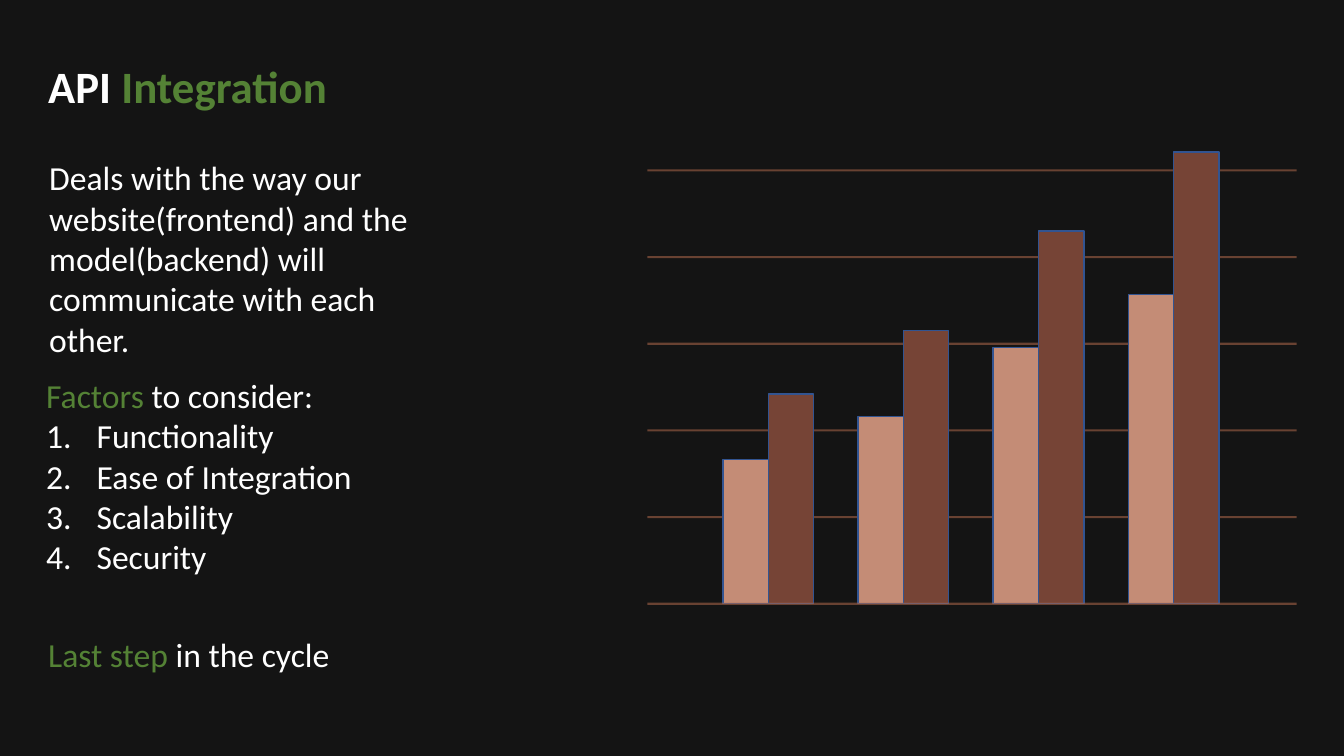
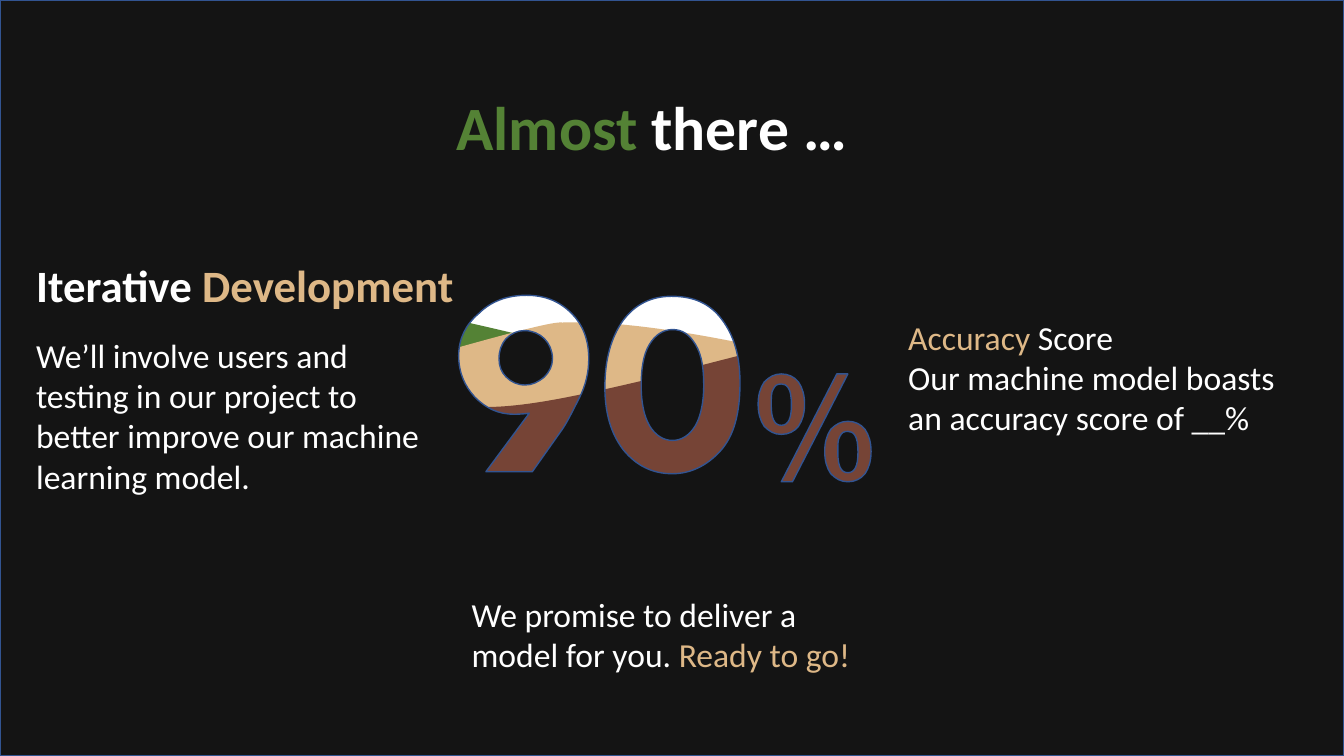
from dataclasses import dataclass

from lxml.etree import SubElement
from pptx import Presentation
from pptx.dml.color import RGBColor
from pptx.enum.shapes import MSO_CONNECTOR, MSO_SHAPE
from pptx.enum.text import MSO_AUTO_SIZE
from pptx.oxml.ns import qn
from pptx.util import Inches, Pt


@dataclass(frozen=True)
class Theme:
    font: str = "Calibri"
    dark: str = "141414"
    white: str = "FFFFFF"
    green: str = "548235"
    sand: str = "DEB887"
    light_bar: str = "C48C76"
    brown: str = "764436"
    grid: str = "B0694C"
    outline: str = "325491"
    body: int = 24
    heading: int = 32
    title: int = 44


T = Theme()
WIDTH, HEIGHT = 13.33, 7.5

# A text block: place, size, bold, wrap, paragraphs of (text, colour) runs, numbered items
API_TEXTS = [
    dict(at=(0.38, 0.53, 4.15, 0.64), size=T.heading, bold=True,
         paras=[[("API", T.white), (" Integration", T.green)]]),
    dict(at=(0.39, 1.51, 4.13, 1.72),
         paras=[[("Deals with the way our website(frontend) and the model(backend) "
                  "will communicate with each other.", T.white)]]),
    dict(at=(0.36, 3.67, 4.13, 2.12),
         paras=[[("Factors", T.green), (" to consider:", T.white)]],
         numbered=["Functionality", "Ease of Integration", "Scalability", "Security"]),
    dict(at=(0.38, 6.24, 4.13, 0.5),
         paras=[[("Last step ", T.green), ("in the cycle", T.white)]]),
]
ALMOST_TEXTS = [
    dict(at=(0.26, 3.27, 4.17, 1.72),
         paras=[[("We’ll involve users and testing in our project to better improve "
                  "our machine learning model.", T.white)]]),
    dict(at=(0.26, 2.51, 4.6, 0.64), size=T.heading, bold=True,
         paras=[[("Iterative ", T.white), ("Development", T.sand)]]),
    dict(at=(8.91, 3.09, 4.17, 1.31),
         paras=[[("Accuracy", T.sand), (" Score", T.white)],
                [("Our machine model boasts an accuracy score of __%", T.white)]]),
    dict(at=(4.43, 0.83, 4.11, 0.84), size=T.title, bold=True, wrap=False,
         paras=[[("Almost", T.green), (" there …", T.white)]]),
    dict(at=(4.58, 5.84, 4.17, 0.91),
         paras=[[("We promise to deliver a model for you. ", T.white),
                 ("Ready to go!", T.sand)]]),
]

# Bar heights in inches, one (light, brown) pair per group
BAR_PAIRS = [(1.43, 2.08), (1.86, 2.71), (2.54, 3.7), (3.07, 4.48)]
BAR_LEFT, BAR_WIDTH, GROUP_PITCH = 7.17, 0.45, 1.34
GRID_LEFT, GRID_RIGHT, GRID_STEP, GRID_LINES = 6.42, 12.86, 0.86, 6
BASELINE = 5.99

# A contour: start point, then line ends (2 numbers) or cubic curves (6 numbers)
BROWN_WAVE = [
    (0, 2.87), (1.37, 2.87, 2.44, 3.75, 3.78, 3.92), (4.76, 4.07, 4.87, 4.13, 6.36, 3.78),
    (8.01, 3.35, 12.09, 2.25, WIDTH, 2.87), (WIDTH, HEIGHT), (0, HEIGHT),
]
SAND_WAVE = [
    (0, 3.49), (0.79, 3.49, 1.01, 4.12, 1.81, 4.12), (2.58, 4.07, 5.37, 3.16, 5.58, 3.2),
    (6.95, 3.15, 9.1, 3.91, 10.39, 3.96), (11.68, 4.01, 12.52, 2.76, WIDTH, 3.49),
    (WIDTH, HEIGHT), (0, HEIGHT),
]
# The green wave mirrors the brown one
GREEN_WAVE = [tuple(WIDTH - v if i % 2 == 0 else v for i, v in enumerate(part))
              for part in BROWN_WAVE]
FRAME = [(0, 0), (WIDTH, 0), (WIDTH, HEIGHT), (0, HEIGHT)]
NINE = [
    [(5.22, 2.93), (5.03, 2.93, 4.87, 2.99, 4.75, 3.11), (4.62, 3.22, 4.55, 3.36, 4.55, 3.53),
     (4.55, 3.7, 4.61, 3.83, 4.71, 3.94), (4.82, 4.05, 4.94, 4.11, 5.1, 4.11),
     (5.12, 4.11, 5.17, 4.11, 5.25, 4.1), (4.82, 4.68), (5.28, 4.68), (5.57, 4.27),
     (5.62, 4.2, 5.67, 4.1, 5.74, 3.96), (5.81, 3.83, 5.84, 3.69, 5.84, 3.56),
     (5.84, 3.37, 5.78, 3.22, 5.67, 3.11), (5.55, 2.99, 5.41, 2.93, 5.22, 2.93)],
    [(5.2, 3.28), (5.28, 3.28, 5.35, 3.31, 5.4, 3.36), (5.45, 3.41, 5.48, 3.48, 5.48, 3.56),
     (5.48, 3.63, 5.45, 3.69, 5.4, 3.74), (5.34, 3.79, 5.28, 3.82, 5.21, 3.82),
     (5.13, 3.82, 5.07, 3.79, 5.02, 3.74), (4.97, 3.69, 4.95, 3.63, 4.95, 3.56),
     (4.95, 3.48, 4.97, 3.42, 5.02, 3.36), (5.07, 3.31, 5.13, 3.28, 5.2, 3.28)],
]
ZERO = [
    [(6.66, 2.94), (6.46, 2.94, 6.3, 3.02, 6.18, 3.18), (6.06, 3.35, 6, 3.57, 6, 3.84),
     (6, 4.1, 6.06, 4.3, 6.18, 4.46), (6.31, 4.62, 6.47, 4.7, 6.67, 4.7),
     (6.85, 4.7, 7.01, 4.62, 7.14, 4.48), (7.28, 4.33, 7.34, 4.1, 7.34, 3.8),
     (7.34, 3.53, 7.28, 3.33, 7.16, 3.17), (7.04, 3.01, 6.88, 2.94, 6.66, 2.94)],
    [(6.67, 3.27), (6.77, 3.27, 6.84, 3.32, 6.9, 3.42), (6.96, 3.52, 6.98, 3.65, 6.98, 3.83),
     (6.98, 3.99, 6.95, 4.13, 6.9, 4.22), (6.84, 4.32, 6.76, 4.37, 6.67, 4.37),
     (6.58, 4.37, 6.5, 4.32, 6.44, 4.22), (6.39, 4.13, 6.36, 4, 6.36, 3.83),
     (6.36, 3.66, 6.38, 3.52, 6.44, 3.42), (6.5, 3.32, 6.58, 3.27, 6.67, 3.27)],
]
PERCENT_RING = [
    [(7.75, 3.71), (7.68, 3.71, 7.63, 3.74, 7.58, 3.79), (7.54, 3.85, 7.52, 3.92, 7.52, 4.01),
     (7.52, 4.1, 7.54, 4.17, 7.58, 4.23), (7.63, 4.28, 7.68, 4.31, 7.75, 4.31),
     (7.82, 4.31, 7.88, 4.28, 7.92, 4.23), (7.96, 4.17, 7.98, 4.1, 7.98, 4.01),
     (7.98, 3.92, 7.96, 3.85, 7.92, 3.79), (7.88, 3.74, 7.82, 3.71, 7.75, 3.71)],
    [(7.75, 3.81), (7.78, 3.81, 7.8, 3.82, 7.82, 3.85), (7.84, 3.88, 7.85, 3.93, 7.85, 4.02),
     (7.85, 4.15, 7.82, 4.22, 7.75, 4.22), (7.68, 4.22, 7.65, 4.15, 7.65, 4.02),
     (7.65, 3.94, 7.65, 3.89, 7.67, 3.86), (7.69, 3.82, 7.71, 3.81, 7.75, 3.81)],
]
RING_SHIFT = (0.66, 0.47)
PERCENT_BAR = [(8.3, 3.71), (7.75, 4.78), (7.86, 4.78), (8.41, 3.71)]


def rgb(color):
    return RGBColor.from_string(color)


def add_slide(prs, background):
    s = prs.slides.add_slide(prs.slide_layouts[6])
    s.background.fill.solid()
    s.background.fill.fore_color.rgb = rgb(background)
    return s


def paint(sp, fill, line=None):
    sp.shadow.inherit = False
    sp.fill.solid()
    sp.fill.fore_color.rgb = rgb(fill)
    if line:
        sp.line.color.rgb = rgb(line)
        sp.line.width = Pt(1)
    else:
        sp.line.fill.background()


def number_paragraph(p):
    pPr = p._p.get_or_add_pPr()
    pPr.set("marL", str(Inches(0.5)))
    pPr.set("indent", str(-Inches(0.5)))
    SubElement(pPr, qn("a:buAutoNum"), type="arabicPeriod")


def add_text(s, at, paras, size=T.body, bold=False, wrap=True, numbered=()):
    tf = s.shapes.add_textbox(*map(Inches, at)).text_frame
    tf.word_wrap = wrap
    tf.auto_size = MSO_AUTO_SIZE.SHAPE_TO_FIT_TEXT
    items = [[(text, T.white)] for text in numbered]
    for i, runs in enumerate(paras + items):
        p = tf.add_paragraph() if i else tf.paragraphs[0]
        if i >= len(paras):
            number_paragraph(p)
        for text, color in runs:
            r = p.add_run()
            r.text = text
            r.font.name = T.font
            r.font.size = Pt(size)
            r.font.bold = bold
            r.font.color.rgb = rgb(color)


def add_grid_line(shapes, y):
    line = shapes.add_connector(MSO_CONNECTOR.STRAIGHT, Inches(GRID_LEFT), Inches(y),
                                Inches(GRID_RIGHT), Inches(y))
    line.line.color.rgb = rgb(T.grid)
    line.line.width = Pt(1.5)
    spPr = line._element.spPr
    SubElement(spPr.find(".//" + qn("a:srgbClr")), qn("a:alpha"), val="55000")
    SubElement(spPr, qn("a:effectLst"))


def add_bars(s):
    shapes = s.shapes.add_group_shape().shapes
    for i in range(1, GRID_LINES):
        add_grid_line(shapes, BASELINE - i * GRID_STEP)
    for g, pair in enumerate(BAR_PAIRS):
        for b, (height, color) in enumerate(zip(pair, (T.light_bar, T.brown))):
            left = BAR_LEFT + g * GROUP_PITCH + b * BAR_WIDTH
            bar = shapes.add_shape(MSO_SHAPE.RECTANGLE, Inches(left), Inches(BASELINE - height),
                                   Inches(BAR_WIDTH), Inches(height))
            paint(bar, color, T.outline)
    add_grid_line(shapes, BASELINE)


def shift(contour, offset):
    return [tuple(v + offset[i % 2] for i, v in enumerate(part)) for part in contour]


def end_point(part):
    return Inches(part[-2]), Inches(part[-1])


def bend_segments(sp, parts):
    """Turn the straight segments whose part has control points into cubic curves."""
    segments = list(sp._element.iter(qn("a:lnTo")))
    for segment, part in zip(segments, parts):
        if len(part) == 6:
            segment.clear()
            segment.tag = qn("a:cubicBezTo")
            for x, y in zip(part[::2], part[1::2]):
                SubElement(segment, qn("a:pt"), x=str(Inches(x) - sp.left),
                           y=str(Inches(y) - sp.top))


def add_outline(s, contours, fill, line=None):
    builder = s.shapes.build_freeform(*end_point(contours[0][0]))
    for i, (start, *parts) in enumerate(contours):
        if i:
            builder.move_to(*end_point(start))
        builder.add_line_segments([end_point(part) for part in parts])
    sp = builder.convert_to_shape()
    bend_segments(sp, [part for contour in contours for part in contour[1:]])
    paint(sp, fill, line)


def build_api_slide(prs):
    s = add_slide(prs, T.dark)
    add_bars(s)
    for block in API_TEXTS:
        add_text(s, **block)


def build_almost_slide(prs):
    s = add_slide(prs, T.white)
    for wave, color in ((GREEN_WAVE, T.green), (SAND_WAVE, T.sand), (BROWN_WAVE, T.brown)):
        add_outline(s, [wave], color)
    second_ring = [shift(contour, RING_SHIFT) for contour in PERCENT_RING]
    cutouts = NINE + ZERO + PERCENT_RING + second_ring + [PERCENT_BAR]
    add_outline(s, [FRAME] + cutouts, T.dark, T.outline)
    for block in ALMOST_TEXTS:
        add_text(s, **block)


def main():
    prs = Presentation()
    prs.slide_width, prs.slide_height = Inches(WIDTH), Inches(HEIGHT)
    build_api_slide(prs)
    build_almost_slide(prs)
    prs.save("out.pptx")


if __name__ == "__main__":
    main()
